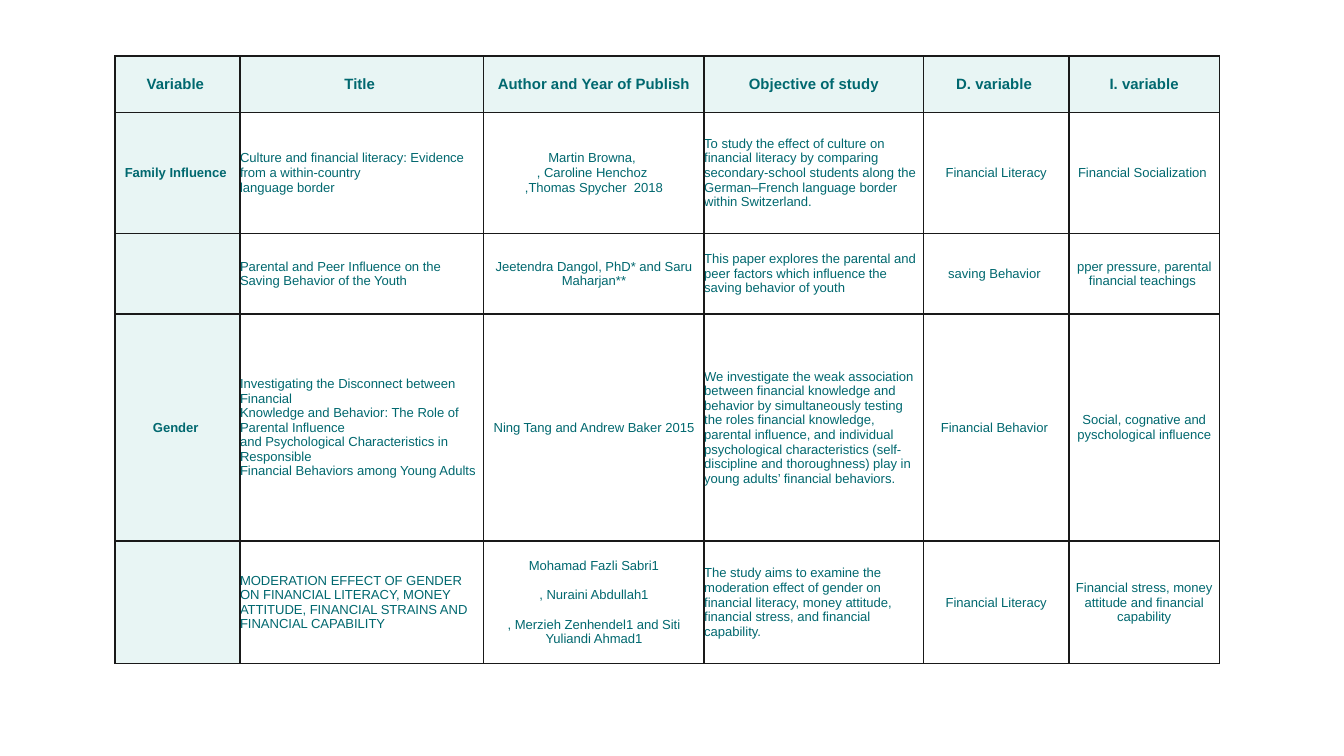
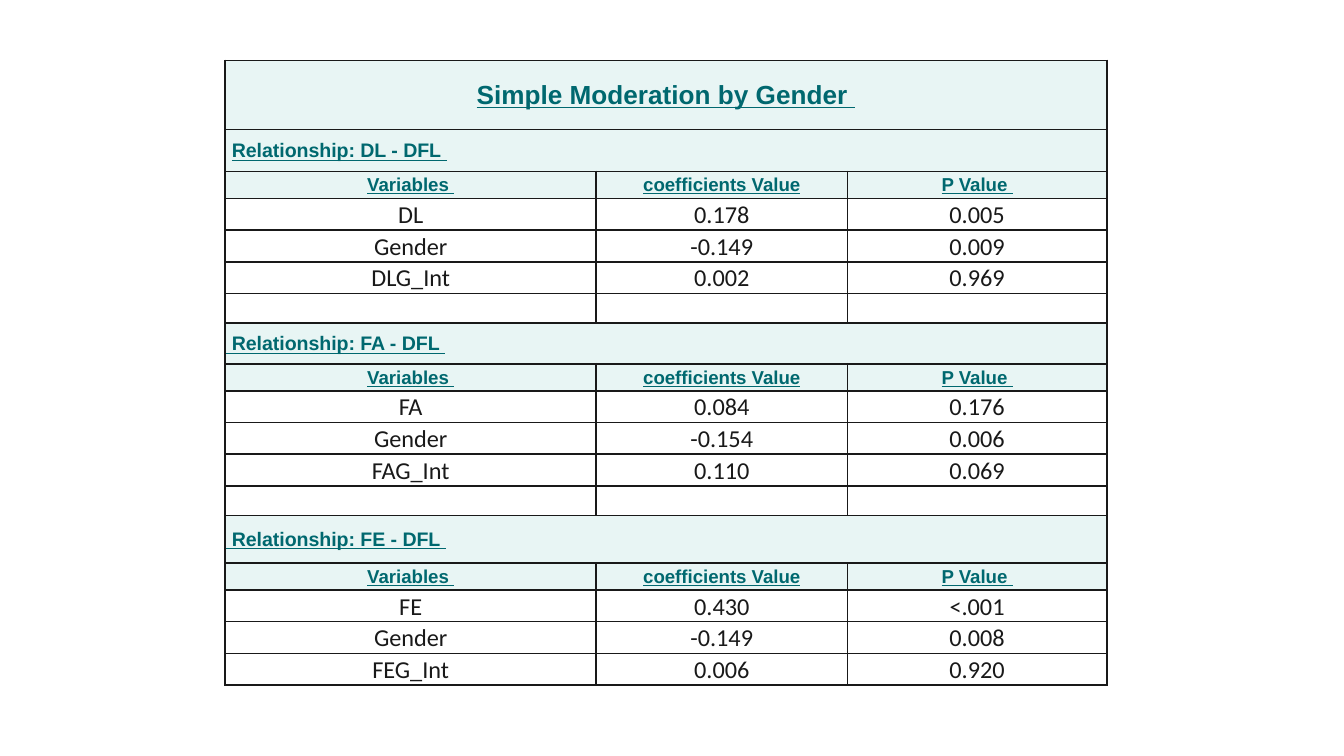
from lxml import etree
from pptx import Presentation
from pptx.dml.color import RGBColor
from pptx.enum.text import MSO_ANCHOR, PP_ALIGN
from pptx.oxml.ns import qn
from pptx.util import Inches, Pt

SLIDE_W = Inches(10)
SLIDE_H = SLIDE_W * 9 // 16
TEAL = RGBColor(0x00, 0x68, 0x6F)
MINT = RGBColor(0xE8, 0xF5, 0xF4)
WHITE = RGBColor(0xFF, 0xFF, 0xFF)
INK = RGBColor(0x19, 0x19, 0x19)
LEFT, CENTER = PP_ALIGN.LEFT, PP_ALIGN.CENTER
MIDDLE = MSO_ANCHOR.MIDDLE

# Text styles: font, size, colour, bold, underline
HEAD = ("Arial", 8, TEAL, True, False)
LABEL = ("Arial", 7, TEAL, True, False)
BODY = ("Arial", 7, TEAL, False, False)
TITLE = ("Arial", 14, TEAL, True, True)
SECTION = ("Arial", 10.5, TEAL, True, True)
SECTION_LEAD = ("Arial", 10.5, TEAL, True, False)
COLUMN = ("Arial", 10, TEAL, True, True)
VALUE = ("Calibri", 13, INK, False, False)

# Cell margins in inches: left, top, right, bottom
NO_MARGIN = (0, 0, 0, 0)
THIN_MARGIN = (0.01, 0.01, 0.01, 0)
SIDE_MARGIN = (0.07, 0, 0.07, 0)

STUDY_COLS = (0.93, 1.81, 1.64, 1.63, 1.08, 1.12)
STUDY_ROWS = (0.42, 0.9, 0.6, 1.69, 0.91)
STUDIES = [
    ("Variable ", "Title ", "Author and Year of Publish", "Objective of study",
     "D. variable ", "I. variable"),
    ("Family Influence ",
     "Culture and financial literacy: Evidence from a within-country\nlanguage border",
     "Martin Browna, \n, Caroline Henchoz \n,Thomas Spycher  2018",
     "To study the effect of culture on financial literacy by comparing "
     "secondary-school students along the German–French language border within Switzerland.",
     "Financial Literacy", "Financial Socialization "),
    ("",
     "Parental and Peer Influence on the Saving Behavior of the Youth",
     "Jeetendra Dangol, PhD* and Saru Maharjan**",
     "This paper explores the parental and peer factors which influence the "
     "saving behavior of youth",
     "saving Behavior ", "pper pressure, parental financial teachings "),
    ("Gender ",
     "Investigating the Disconnect between Financial\n"
     "Knowledge and Behavior: The Role of Parental Influence\n"
     "and Psychological Characteristics in Responsible\n"
     "Financial Behaviors among Young Adults",
     "Ning Tang and Andrew Baker 2015",
     "We investigate the weak association between financial knowledge and behavior by "
     "simultaneously testing the roles financial knowledge, parental influence, and "
     "individual psychological characteristics (self-discipline and thoroughness) play "
     "in young adults’ financial behaviors.",
     "Financial Behavior ", "Social, cognative and pyschological influence"),
    ("",
     "MODERATION EFFECT OF GENDER ON FINANCIAL LITERACY, MONEY\n"
     "ATTITUDE, FINANCIAL STRAINS AND FINANCIAL CAPABILITY",
     "Mohamad Fazli Sabri1\n\n, Nuraini Abdullah1\n\n"
     ", Merzieh Zenhendel1 and Siti Yuliandi Ahmad1",
     "The study aims to examine the moderation effect of gender on financial literacy, "
     "money attitude, financial stress, and financial capability.",
     "Financial Literacy", "Financial stress, money attitude and financial capability"),
]

MODERATION_COLS = (2.76, 1.87, 1.93)
VALUE_ROW = 0.22
VARIABLES = ("Variables ", "coefficients Value", "P Value ")
# Each section: name, height of its band, rows of values
SECTIONS = [
    ("DL", 0.31, [("DL", "0.178", "0.005"), ("Gender", "-0.149", "0.009"),
                  ("DLG_Int", "0.002", "0.969")]),
    ("FA", 0.3, [("FA", "0.084", "0.176"), ("Gender", "-0.154", "0.006"),
                 ("FAG_Int", "0.110", "0.069")]),
    ("FE", 0.35, [("FE", "0.430", "<.001"), ("Gender", "-0.149", "0.008"),
                  ("FEG_Int", "0.006", "0.920")]),
]


def add_border(cell):
    """Draw a thin line on all four sides; lines come first in tcPr."""
    tcPr = cell._tc.get_or_add_tcPr()
    for i, side in enumerate(("a:lnL", "a:lnR", "a:lnT", "a:lnB")):
        ln = etree.Element(qn(side), w=str(Pt(1)))
        fill = etree.SubElement(ln, qn("a:solidFill"))
        etree.SubElement(fill, qn("a:srgbClr"), val=str(INK))
        tcPr.insert(i, ln)


def add_run(p, text, style):
    r = p.add_run()
    r.text = text
    font = r.font
    font.name, size, font.color.rgb, font.bold, font.underline = style
    font.size = Pt(size)


def fill_cell(cell, text, style, fill, margins, align=CENTER, spacing=None):
    """Write text: a line feed breaks the line, a double one starts a spaced paragraph."""
    cell.fill.solid()
    cell.fill.fore_color.rgb = fill
    cell.vertical_anchor = MIDDLE
    (cell.margin_left, cell.margin_top,
     cell.margin_right, cell.margin_bottom) = map(Inches, margins)
    tf = cell.text_frame
    for i, block in enumerate(text.split("\n\n")):
        p = tf.add_paragraph() if i else tf.paragraphs[0]
        p.alignment = align
        if spacing:
            p.line_spacing = spacing
        if i:
            p.space_before = Pt(style[1] + 1)
        if not block:
            p._p.get_or_add_endParaRPr().set("sz", str(int(style[1] * 100)))
            continue
        for j, line in enumerate(block.split("\n")):
            if j:
                p.add_line_break()
            add_run(p, line, style)


def add_grid(s, box, cols, rows):
    """Add a bordered table whose columns and rows share the box in proportion."""
    x, y, w, h = box
    table = s.shapes.add_table(len(rows), len(cols), x, y, w, h).table
    table.first_row = table.horz_banding = False
    for col, share in zip(table.columns, cols):
        col.width = int(w * share / sum(cols))
    for row, share in zip(table.rows, rows):
        row.height = int(h * share / sum(rows))
    for cell in table.iter_cells():
        add_border(cell)
    return table


def slide_box(left, top, width, height):
    """Turn percentages of the slide into lengths."""
    return (int(SLIDE_W * left / 100), int(SLIDE_H * top / 100),
            int(SLIDE_W * width / 100), int(SLIDE_H * height / 100))


def build_studies(s, box):
    table = add_grid(s, box, STUDY_COLS, STUDY_ROWS)
    for i, study in enumerate(STUDIES):
        for j, text in enumerate(study):
            style = HEAD if i == 0 else LABEL if j == 0 else BODY
            fill = WHITE if style is BODY else MINT
            align = LEFT if style is BODY and j in (1, 3) else CENTER
            fill_cell(table.cell(i, j), text, style, fill, NO_MARGIN, align)


def build_moderation(s, box):
    # Rows in order: height, texts, style
    rows = [(0.51, ("Simple Moderation by Gender ",), TITLE)]
    for i, (name, height, values) in enumerate(SECTIONS):
        if i:
            rows.append((VALUE_ROW, ("", "", ""), VALUE))
        rows.append((height, (f" Relationship: {name} - DFL ",), SECTION))
        rows.append((0.2, VARIABLES, COLUMN))
        rows += [(VALUE_ROW, texts, VALUE) for texts in values]

    table = add_grid(s, box, MODERATION_COLS, [row[0] for row in rows])
    for i, (_, texts, style) in enumerate(rows):
        if len(texts) == 1:
            table.cell(i, 0).merge(table.cell(i, len(MODERATION_COLS) - 1))
        for j, text in enumerate(texts):
            align = LEFT if style is SECTION else CENTER
            if style is VALUE:
                fill_cell(table.cell(i, j), text, style, WHITE, SIDE_MARGIN, align, 1.07)
            else:
                fill_cell(table.cell(i, j), text, style, MINT, THIN_MARGIN, align)

    # The first section's leading space carries no underline
    p = table.cell(1, 0).text_frame.paragraphs[0]
    text = p.text
    p.clear()
    add_run(p, text[:1], SECTION_LEAD)
    add_run(p, text[1:], SECTION)


def main():
    prs = Presentation()
    prs.slide_width, prs.slide_height = SLIDE_W, SLIDE_H
    blank = prs.slide_layouts[6]
    build_studies(prs.slides.add_slide(blank), slide_box(8.55, 7.4, 82.2, 80.4))
    build_moderation(prs.slides.add_slide(blank), slide_box(16.75, 8, 65.6, 80.3))
    prs.save("out.pptx")


if __name__ == "__main__":
    main()
